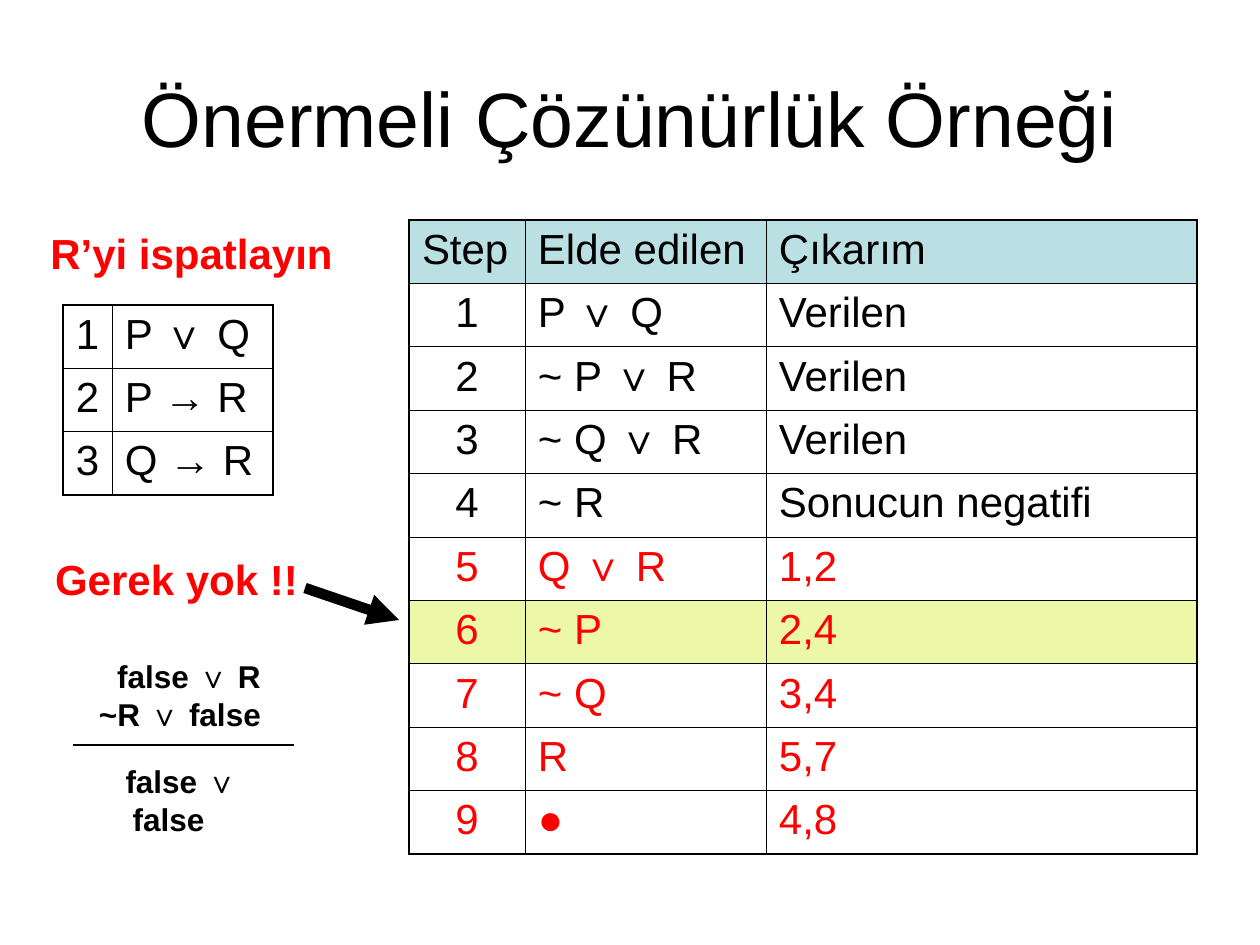
from dataclasses import dataclass

from lxml.etree import SubElement
from pptx import Presentation
from pptx.dml.color import RGBColor
from pptx.enum.shapes import MSO_CONNECTOR
from pptx.enum.text import MSO_ANCHOR, PP_ALIGN
from pptx.oxml.ns import qn
from pptx.util import Pt

SCALE = 914400 / 126


@dataclass(frozen=True)
class Theme:
    font: str = "Arial"
    ink: str = "000000"
    accent: str = "FF0000"
    header: str = "BBE0E3"
    highlight: str = "ECF7A7"
    title_size: int = 44
    body_size: int = 24
    note_size: int = 18
    outer_border: float = 1.08
    inner_border: float = 0.45
    rule: float = 0.75
    arrow: int = 6


THEME = Theme()


def px(length):
    return round(length * SCALE)


def write(para, text, size=THEME.body_size, color=THEME.ink, bold=False,
          align=PP_ALIGN.LEFT, before=0, indent=0):
    para.alignment = align
    para.space_before = Pt(before)
    if indent:
        properties = para._p.get_or_add_pPr()
        properties.set("marL", "0")
        properties.set("indent", str(px(indent)))
    span = para.add_run()
    span.text = text
    span.font.name = THEME.font
    span.font.size = Pt(size)
    span.font.bold = bold
    span.font.color.rgb = RGBColor.from_string(color)


def place(shape, box):
    shape.left, shape.top, shape.width, shape.height = map(px, box)


def add_title(page, box, text):
    title = page.shapes.title
    place(title, box)
    title.text_frame.vertical_anchor = MSO_ANCHOR.MIDDLE
    write(title.text_frame.paragraphs[0], text, size=THEME.title_size,
          align=PP_ALIGN.CENTER)


def add_label(page, box, lines, side=13, **style):
    frame = page.shapes.add_textbox(*map(px, box)).text_frame
    frame.word_wrap = True
    frame.margin_left = frame.margin_right = px(side)
    for index, (text, indent) in enumerate(lines):
        para = frame.add_paragraph() if index else frame.paragraphs[0]
        write(para, text, bold=True, align=PP_ALIGN.CENTER, indent=indent, **style)


def add_heading(page, box, text):
    add_label(page, box, [(text, 0)], side=2, color=THEME.accent)


def add_line(page, start, end, width, arrow=False):
    line = page.shapes.add_connector(
        MSO_CONNECTOR.STRAIGHT, *map(px, (*start, *end)))
    line.line.color.rgb = RGBColor.from_string(THEME.ink)
    line.line.width = Pt(width)
    if arrow:
        SubElement(line.line._get_or_add_ln(), qn("a:tailEnd"), type="triangle")
    SubElement(line._element.spPr, qn("a:effectLst"))


def set_borders(cell, outer_sides):
    properties = cell._tc.get_or_add_tcPr()
    for side in "LRTB":
        width = THEME.outer_border if side in outer_sides else THEME.inner_border
        border = SubElement(properties, qn(f"a:ln{side}"), w=str(int(Pt(width))))
        fill = SubElement(border, qn("a:solidFill"))
        SubElement(fill, qn("a:srgbClr"), val=THEME.ink)


def add_grid(page, box, widths, rows, fills=None, accent_from=None,
             centered_from=None):
    fills = fills or {}
    table = page.shapes.add_table(len(rows), len(widths), *map(px, box)).table
    table.first_row = False
    table.horz_banding = False
    for column, width in zip(table.columns, widths):
        column.width = px(width)
    for r, values in enumerate(rows):
        table.rows[r].height = px(box[3] / len(rows))
        accented = accent_from is not None and r >= accent_from
        centered = centered_from is not None and r >= centered_from
        for c, value in enumerate(values):
            cell = table.cell(r, c)
            edges = {"L": c == 0, "R": c == len(widths) - 1,
                     "T": r == 0, "B": r == len(rows) - 1}
            set_borders(cell, [side for side, outer in edges.items() if outer])
            if r in fills:
                cell.fill.solid()
                cell.fill.fore_color.rgb = RGBColor.from_string(fills[r])
            else:
                cell.fill.background()
            cell.margin_left = cell.margin_right = px(13)
            write(cell.text_frame.paragraphs[0], value, before=6,
                  color=THEME.accent if accented else THEME.ink,
                  align=PP_ALIGN.CENTER if centered and c == 0 else PP_ALIGN.LEFT)


def add_premises(page, box):
    left, top, width, height = box
    add_heading(page, (left - 25, top - 84, 307, 63), "R’yi ispatlayın")
    rows = [("1", "P ∨ Q"), ("2", "P → R"), ("3", "Q → R")]
    add_grid(page, box, (49, width - 49), rows)


def add_proof(page, box):
    rows = [
        ("Step", "Elde edilen", "Çıkarım"),
        ("1", "P ∨ Q", "Verilen"),
        ("2", "~ P ∨ R", "Verilen"),
        ("3", "~ Q ∨ R", "Verilen"),
        ("4", "~ R", "Sonucun negatifi"),
        ("5", "Q ∨ R", "1,2"),
        ("6", "~ P", "2,4"),
        ("7", "~ Q", "3,4"),
        ("8", "R", "5,7"),
        ("9", "●", "4,8"),
    ]
    add_grid(page, box, (116, 241, box[2] - 357), rows,
             fills={0: THEME.header, 6: THEME.highlight},
             accent_from=5, centered_from=1)


def add_remark(page, box):
    left, top, width, height = box
    add_heading(page, (left, top, 267, 63), "Gerek yok !!")
    add_line(page, (left + 262, top + 41), (left + width, top + 73),
             THEME.arrow, arrow=True)
    add_label(page, (left + 23, top + 104, 228, 126),
              [("false ∨ R", 18), ("~R ∨ false", 0)], size=THEME.note_size)
    add_line(page, (left + 30, top + 198), (left + 251, top + 198), THEME.rule)
    add_label(page, (left + 14, top + 209, 223, height - 209),
              [("false ∨ false", 26)], side=30, size=THEME.note_size)


def main():
    deck = Presentation()
    deck.slide_width, deck.slide_height = px(1260), px(945)
    page = deck.slides.add_slide(deck.slide_layouts[5])
    add_title(page, (63, 38, 1134, 158), "Önermeli Çözünürlük Örneği")
    add_premises(page, (63, 305, 210, 190))
    add_proof(page, (409, 220, 788, 634))
    add_remark(page, (43, 547, 356, 297))
    deck.save("out.pptx")


if __name__ == "__main__":
    main()
